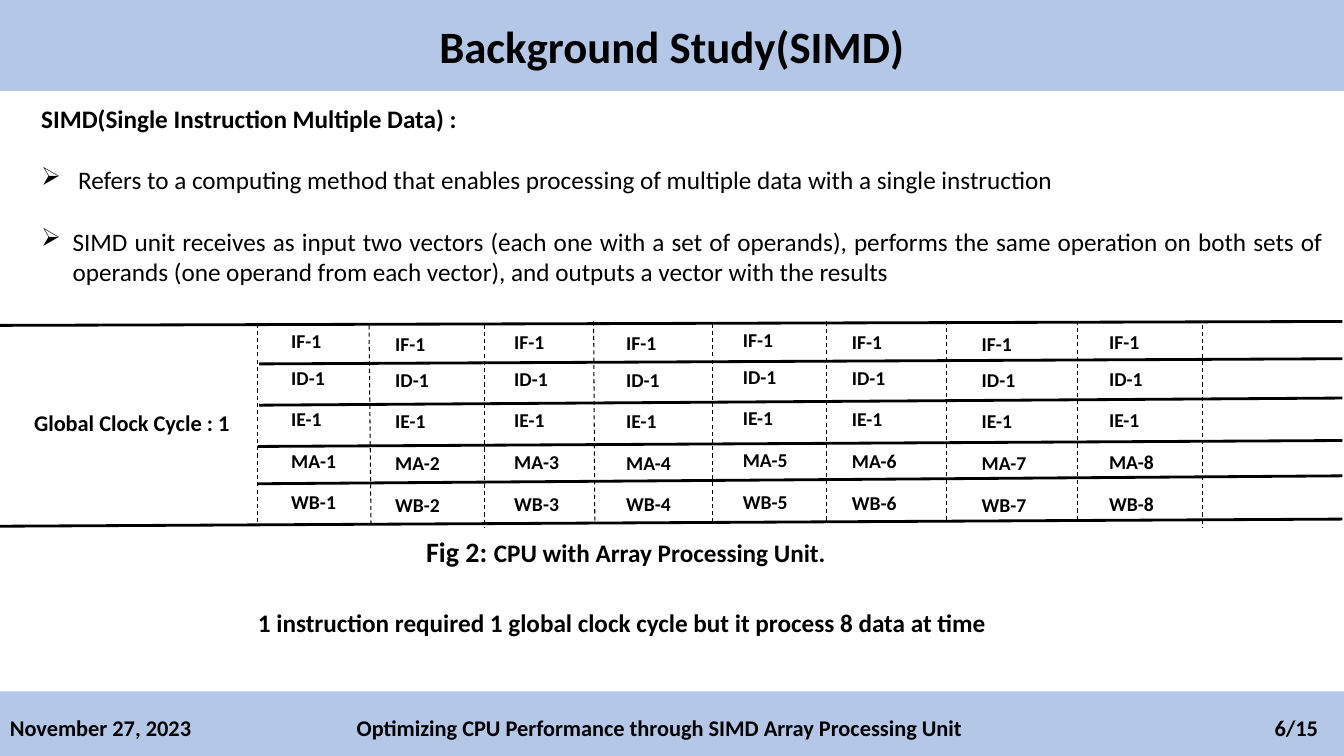
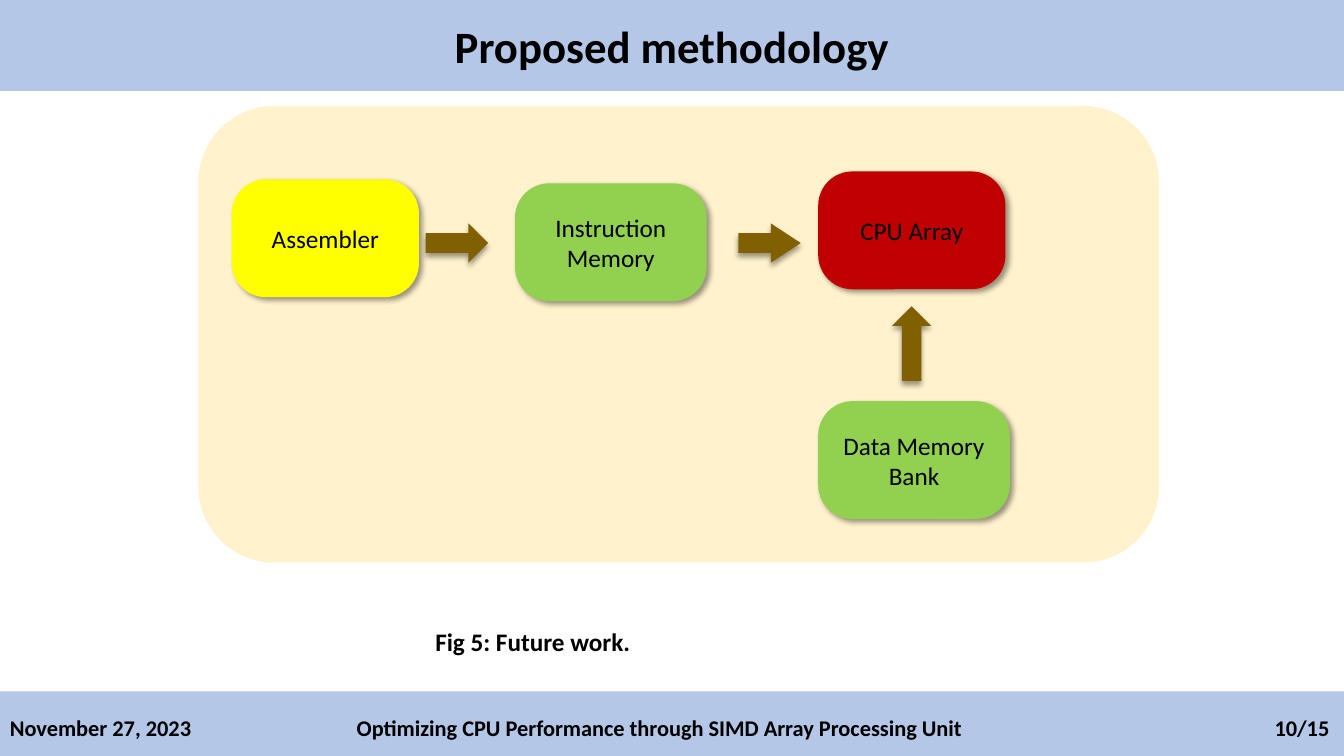
"""Build two slides on SIMD array processing with shared title and footer bands."""
from dataclasses import dataclass
from itertools import product

from lxml import etree
from pptx import Presentation
from pptx.dml.color import RGBColor
from pptx.enum.dml import MSO_LINE
from pptx.enum.shapes import MSO_CONNECTOR, MSO_SHAPE
from pptx.enum.text import MSO_ANCHOR, PP_ALIGN
from pptx.oxml.ns import qn
from pptx.shapes.autoshape import Shape
from pptx.slide import Slide
from pptx.util import Cm, Pt

RECT = MSO_SHAPE.RECTANGLE
ROUNDED = MSO_SHAPE.ROUNDED_RECTANGLE
RIGHT_ARROW = MSO_SHAPE.RIGHT_ARROW
UP_ARROW = MSO_SHAPE.UP_ARROW
STRAIGHT = MSO_CONNECTOR.STRAIGHT
DASH = MSO_LINE.DASH
MIDDLE = MSO_ANCHOR.MIDDLE
LEFT = PP_ALIGN.LEFT
CENTER = PP_ALIGN.CENTER
JUSTIFY = PP_ALIGN.JUSTIFY

BLACK = RGBColor(0x00, 0x00, 0x00)
BAND_BLUE = RGBColor(0xB4, 0xC7, 0xE7)
CREAM = RGBColor(0xFF, 0xF2, 0xCC)
GREEN = RGBColor(0x92, 0xD0, 0x50)
YELLOW = RGBColor(0xFF, 0xFF, 0x00)
RED = RGBColor(0xC0, 0x00, 0x00)
BROWN = RGBColor(0x80, 0x60, 0x00)

FONT = "Calibri"
SLIDE_WIDTH, SLIDE_HEIGHT = 33.87, 19.05
FOOTER_TOP = 17.42
DATE = "November 27, 2023"
TALK = "Optimizing CPU Performance through SIMD Array Processing Unit"
BOX_HEIGHT = 2.97


@dataclass(frozen=True)
class Lane:
    """One processor's labels in the pipeline chart."""
    left: float
    shift: float


@dataclass(frozen=True)
class Rule:
    """A straight line of the pipeline chart."""
    x1: float
    y1: float
    x2: float
    y2: float


@dataclass(frozen=True)
class Stage:
    """A pipeline stage and whether its labels count the lanes."""
    code: str
    top: float
    numbered: bool


@dataclass(frozen=True)
class Block:
    """A component of the proposed method."""
    lines: tuple[str, ...]
    left: float
    top: float
    width: float
    fill: RGBColor


@dataclass(frozen=True)
class Arrow:
    """A block arrow between components."""
    kind: MSO_SHAPE
    left: float
    top: float
    width: float
    height: float
    head: float


@dataclass(frozen=True)
class Bullet:
    """A bulleted statement and its hanging indent."""
    text: str
    indent: float


LANES = (
    Lane(7.09, 0), Lane(9.71, 0.06), Lane(12.71, 0.03), Lane(15.53, 0.05),
    Lane(18.47, -0.02), Lane(21.22, 0.01), Lane(24.49, 0.06), Lane(27.7, 0.03),
)
STAGES = (
    Stage("IF", 8.17, False), Stage("ID", 9.09, False), Stage("IE", 10.13, False),
    Stage("MA", 11.18, True), Stage("WB", 12.23, True),
)
LANE_RULES = (
    Rule(6.5, 8.15, 6.5, 13.16), Rule(9.3, 8.2, 9.35, 13.23),
    Rule(12.22, 8.18, 12.22, 13.28), Rule(14.96, 8.1, 14.99, 13.18),
    Rule(17.96, 8.15, 17.96, 13.23), Rule(20.83, 8.1, 20.83, 13.18),
    Rule(23.85, 8.08, 23.85, 13.16), Rule(27.15, 8.08, 27.15, 13.16),
    Rule(30.3, 8.18, 30.3, 13.28),
)
STAGE_RULES = (
    Rule(0, 8.2, 33.83, 8.1), Rule(6.53, 9.17, 33.83, 9.04),
    Rule(6.53, 10.21, 33.83, 10.03), Rule(6.5, 11.25, 33.83, 11.1),
    Rule(6.5, 12.19, 33.83, 11.99), Rule(0, 13.26, 33.83, 13.08),
)
BULLETS = (
    Bullet("Refers to a computing method that enables processing of multiple data "
           "with a single instruction", 0.93),
    Bullet("SIMD unit receives as input two vectors (each one with a set of operands), "
           "performs the same operation on both sets of operands (one operand from each "
           "vector), and outputs a vector with the results", 0.79),
)
BLOCKS = (
    Block(("Data Memory", "Bank"), 20.62, 10.11, 4.83, GREEN),
    Block(("Assembler",), 5.84, 4.52, 4.72, YELLOW),
    Block(("Instruction Memory",), 12.98, 4.62, 4.83, GREEN),
    Block(("CPU Array",), 20.62, 4.32, 4.72, RED),
)
ARROWS = (
    Arrow(UP_ARROW, 22.48, 7.72, 0.99, 1.88, 0.5),
    Arrow(RIGHT_ARROW, 10.73, 5.63, 1.57, 0.99, 0.5),
    Arrow(RIGHT_ARROW, 18.61, 5.63, 1.57, 0.99, 0.76),
)


def write(shape: Shape, lines: tuple[str, ...], size: float, bold: bool,
          align: PP_ALIGN = LEFT) -> None:
    """Fill a shape with paragraphs of one style."""
    frame = shape.text_frame
    frame.word_wrap = True
    frame.text = "\n".join(lines)
    for paragraph in frame.paragraphs:
        paragraph.alignment = align
        font = paragraph.font
        font.name, font.size, font.bold = FONT, Pt(size), bold
        font.color.rgb = BLACK


def add_text(slide: Slide, left: float, top: float, width: float, text: str,
             size: float = 18, height: float = 1) -> Shape:
    """Add a bold, left-aligned text box."""
    box = slide.shapes.add_textbox(Cm(left), Cm(top), Cm(width), Cm(height))
    write(box, (text,), size, True)
    return box


def add_filled(slide: Slide, kind: MSO_SHAPE, left: float, top: float, width: float,
               height: float, fill: RGBColor) -> Shape:
    """Add a flat shape without outline."""
    shape = slide.shapes.add_shape(kind, Cm(left), Cm(top), Cm(width), Cm(height))
    shape.fill.solid()
    shape.fill.fore_color.rgb = fill
    shape.line.fill.background()
    shape.shadow.inherit = False
    return shape


def cast_shadow(shape: Shape, angle: int) -> None:
    """Give a flat shape a soft black shadow."""
    effects = shape.element.spPr.find(qn("a:effectLst"))
    shadow = etree.SubElement(effects, qn("a:outerShdw"), blurRad=str(Pt(4)),
                              dist=str(Pt(3)), dir=str(angle * 60000), rotWithShape="0")
    color = etree.SubElement(shadow, qn("a:srgbClr"), val=str(BLACK))
    etree.SubElement(color, qn("a:alpha"), val="40000")


def add_rule(slide: Slide, rule: Rule, weight: float, dashed: bool) -> None:
    """Draw a line of the pipeline chart."""
    line = slide.shapes.add_connector(STRAIGHT, Cm(rule.x1), Cm(rule.y1),
                                      Cm(rule.x2), Cm(rule.y2))
    line.line.color.rgb = BLACK
    line.line.width = Pt(weight)
    if dashed:
        line.line.dash_style = DASH
    etree.SubElement(line.element.spPr, qn("a:effectLst"))


def add_framed_slide(deck: Presentation, title: str, page: str) -> Slide:
    """Add a blank slide with the title band and footer."""
    slide = deck.slides.add_slide(deck.slide_layouts[6])
    title_band = add_filled(slide, RECT, 0, 0, SLIDE_WIDTH, 2.29, BAND_BLUE)
    title_band.text_frame.vertical_anchor = MIDDLE
    write(title_band, (title,), 32, True, CENTER)
    add_filled(slide, RECT, 0, FOOTER_TOP, SLIDE_WIDTH, SLIDE_HEIGHT - FOOTER_TOP, BAND_BLUE)
    for left, width, text in ((0, 6, DATE), (8.74, 17, TALK), (31.87, 2, page)):
        add_text(slide, left, 17.86, width, text, 16)
    return slide


def add_definition(slide: Slide) -> None:
    """Add the SIMD heading with its bulleted statements."""
    definition = add_text(slide, 0.79, 2.49, 32.82,
                          "SIMD(Single Instruction Multiple Data) :", height=5)
    for bullet in BULLETS:
        paragraph = definition.text_frame.add_paragraph()
        paragraph.text = bullet.text
        paragraph.alignment = JUSTIFY
        paragraph.space_before = Pt(22)
        paragraph.font.name, paragraph.font.size = FONT, Pt(18)
        paragraph.font.color.rgb = BLACK
        properties = paragraph._p.get_or_add_pPr()
        properties.set("marL", str(Cm(bullet.indent)))
        properties.set("indent", str(-Cm(bullet.indent)))
        marker = etree.Element(qn("a:buChar"), char="➢")
        properties.find(qn("a:defRPr")).addprevious(marker)


def build_background(deck: Presentation) -> None:
    """Build the SIMD background slide."""
    slide = add_framed_slide(deck, "Background Study(SIMD)", "6/15")
    add_definition(slide)
    for rule in LANE_RULES:
        add_rule(slide, rule, 0.75, True)
    for rule in STAGE_RULES:
        add_rule(slide, rule, 0, False)
    add_text(slide, 0.61, 10.19, 5.8, "Global Clock Cycle : 1", 16)
    for stage, (number, lane) in product(STAGES, enumerate(LANES, 1)):
        label = f"{stage.code}-{number if stage.numbered else 1}"
        add_text(slide, lane.left, stage.top + lane.shift, 2, label, 14, 0.84)
    caption = add_text(slide, 10.49, 13.34, 14.6, "Fig 2: ")
    figure = caption.text_frame.paragraphs[0]
    figure.runs[0].font.size = Pt(20)
    figure.add_run().text = "CPU with Array Processing Unit."
    add_text(slide, 6.25, 15.19, 25.96,
             "1 instruction required 1 global clock cycle but it process 8 data at time")


def build_methodology(deck: Presentation) -> None:
    """Build the proposed methodology slide."""
    slide = add_framed_slide(deck, "Proposed methodology", "10/15")
    add_filled(slide, ROUNDED, 5, 2.67, 24.21, 11.51, CREAM)
    for block in BLOCKS:
        component = add_filled(slide, ROUNDED, block.left, block.top, block.width,
                               BOX_HEIGHT, block.fill)
        component.adjustments[0] = 0.29
        component.text_frame.vertical_anchor = MIDDLE
        write(component, block.lines, 18, False, CENTER)
        cast_shadow(component, 45)
    for arrow in ARROWS:
        flow = add_filled(slide, arrow.kind, arrow.left, arrow.top, arrow.width,
                          arrow.height, BROWN)
        flow.adjustments[1] = arrow.head
        cast_shadow(flow, 90)
    add_text(slide, 10.72, 15.65, 7.54, "Fig 5: Future work.")


def main() -> None:
    """Build and save the deck."""
    deck = Presentation()
    deck.slide_width, deck.slide_height = Cm(SLIDE_WIDTH), Cm(SLIDE_HEIGHT)
    build_background(deck)
    build_methodology(deck)
    deck.save("out.pptx")


if __name__ == "__main__":
    main()
